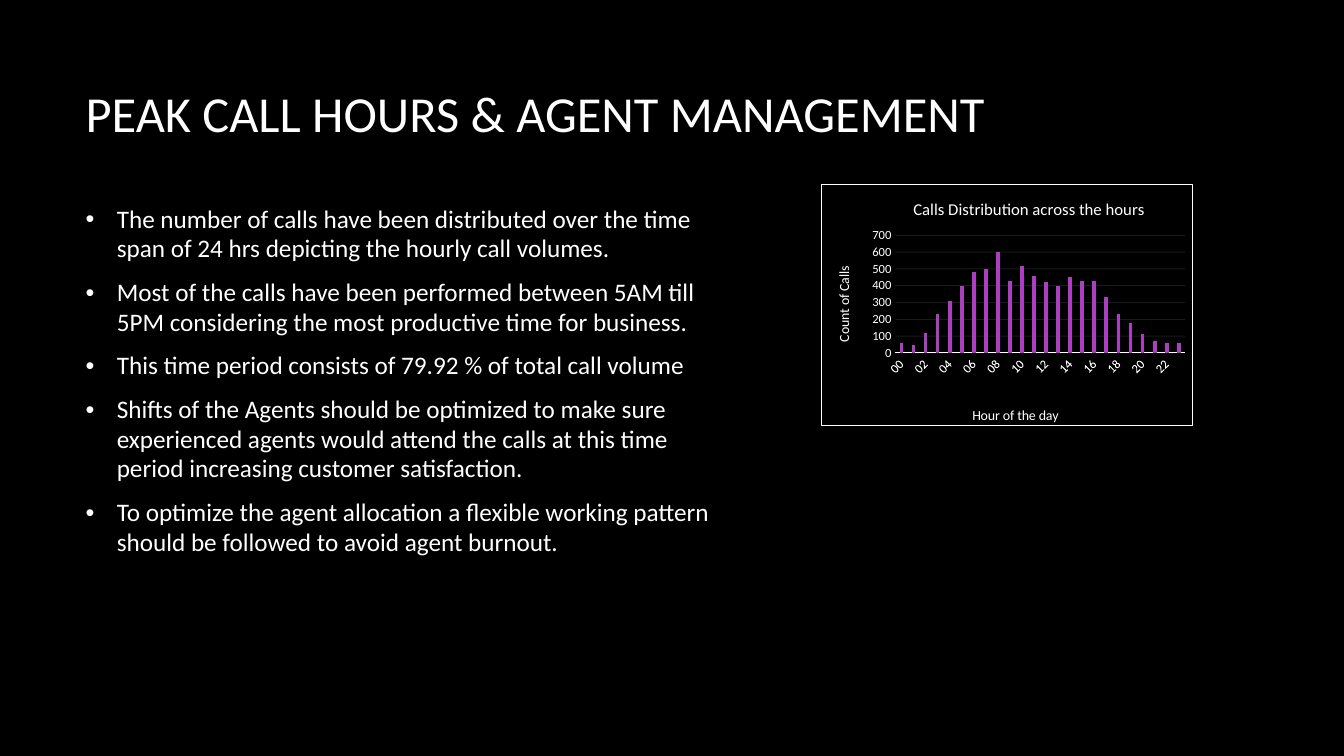
from dataclasses import dataclass

from lxml import etree
from pptx import Presentation
from pptx.chart.data import CategoryChartData
from pptx.dml.color import RGBColor
from pptx.enum.chart import XL_CHART_TYPE, XL_TICK_MARK
from pptx.enum.text import MSO_ANCHOR, MSO_AUTO_SIZE, PP_ALIGN
from pptx.oxml import parse_xml
from pptx.oxml.ns import nsdecls, qn
from pptx.util import Inches, Pt

COLUMN = XL_CHART_TYPE.COLUMN_CLUSTERED
NO_TICK = XL_TICK_MARK.NONE
TOP, MIDDLE = MSO_ANCHOR.TOP, MSO_ANCHOR.MIDDLE
LEFT = PP_ALIGN.LEFT
NO_FIT = MSO_AUTO_SIZE.NONE


@dataclass(frozen=True)
class Theme:
    font: str = "Calibri"
    back: RGBColor = RGBColor(0, 0, 0)
    ink: RGBColor = RGBColor(255, 255, 255)
    bar: RGBColor = RGBColor(0xAC, 0x3E, 0xC1)
    head: int = 36
    body: int = 18
    name: int = 12
    label: int = 10
    tick: int = 9
    line: float = 0.75


THEME = Theme()

POINTS = [
    "The number of calls have been distributed over the time span of 24 hrs "
    "depicting the hourly call volumes.",
    "Most of the calls have been performed between 5AM till 5PM considering "
    "the most productive time for business.",
    "This time period consists of 79.92 % of total call volume",
    "Shifts of the Agents should be optimized to make sure experienced agents "
    "would attend the calls at this time period increasing customer satisfaction.",
    "To optimize the agent allocation a flexible working pattern should be "
    "followed to avoid agent burnout.",
]
CALLS = [60, 50, 120, 230, 310, 400, 480, 500, 600, 430, 520, 460,
         420, 400, 450, 430, 430, 330, 230, 180, 110, 70, 60, 60]


def style(font, size):
    font.name, font.size, font.bold = THEME.font, Pt(size), False
    font.color.rgb = THEME.ink


def write(frame, lines, size, anchor=MIDDLE, after=0, space=None, bullet=None):
    frame.word_wrap = True
    frame.auto_size = NO_FIT
    frame.vertical_anchor = anchor
    for i, line in enumerate(lines):
        para = frame.add_paragraph() if i else frame.paragraphs[0]
        para.alignment = LEFT
        para.space_after = Pt(after)
        if space:
            para.line_spacing = space
        run = para.add_run()
        run.text = line
        style(run.font, size)
        if bullet:
            props = para._p.get_or_add_pPr()
            props.set("marL", str(Inches(0.31)))
            props.set("indent", str(-Inches(0.31)))
            etree.SubElement(props, qn("a:buFont")).set("typeface", "Arial")
            etree.SubElement(props, qn("a:buChar")).set("char", bullet)


def add_head(slide, x, y, w, h):
    head = slide.shapes.title
    head.left, head.top, head.width, head.height = map(Inches, (x, y, w, h))
    write(head.text_frame, ["PEAK CALL HOURS & AGENT MANAGEMENT"], THEME.head)


def add_points(slide, x, y, w, h):
    frame = slide.shapes.add_textbox(*map(Inches, (x, y, w, h))).text_frame
    frame.margin_top = Inches(0.18)
    write(frame, POINTS, THEME.body, anchor=TOP, after=10, space=0.98, bullet="•")


def place(node, inner=False, **spots):
    """Set a manual layout, in fractions of the chart."""
    for old in node.findall(qn("c:layout")):
        node.remove(old)
    layout = etree.Element(qn("c:layout"))
    manual = etree.SubElement(layout, qn("c:manualLayout"))
    if inner:
        etree.SubElement(manual, qn("c:layoutTarget")).set("val", "inner")
    for key in ("xMode", "yMode"):
        etree.SubElement(manual, qn(f"c:{key}")).set("val", "edge")
    for key, spot in spots.items():
        etree.SubElement(manual, qn(f"c:{key}")).set("val", str(spot))
    node.insert(0 if inner else 1, layout)


def add_name(owner, text, size, x, y, turn=0):
    title = owner if hasattr(owner, "text_frame") else owner.axis_title
    frame = title.text_frame
    frame.text = text
    style(frame.paragraphs[0].runs[0].font, size)
    frame._txBody.find(qn("a:bodyPr")).set("rot", str(turn * 60000))
    place(title._element, x=x, y=y)


def set_line(line):
    line.color.rgb = THEME.ink
    line.width = Pt(THEME.line)


def add_calls(slide, x, y, w, h):
    data = CategoryChartData()
    data.categories = [f"{hour:02}" for hour in range(24)]
    data.add_series("Series 1", CALLS)
    chart = slide.shapes.add_chart(COLUMN, *map(Inches, (x, y, w, h)), data).chart
    chart.has_legend = False
    style(chart.font, THEME.label)

    # Columns
    plot = chart.plots[0]
    plot.gap_width, plot.overlap = 219, -27
    plot.vary_by_categories = False
    fill = plot.series[0].format.fill
    fill.solid()
    fill.fore_color.rgb = THEME.bar

    # Axes
    hours, count = chart.category_axis, chart.value_axis
    for axis in (hours, count):
        axis.major_tick_mark = axis.minor_tick_mark = NO_TICK
        style(axis.tick_labels.font, THEME.tick)
    set_line(hours.format.line)
    hours._element.find(qn("c:txPr")).find(qn("a:bodyPr")).set("rot", "-2700000")
    count.minimum_scale, count.maximum_scale, count.major_unit = 0, 700, 100
    count.format.line.fill.background()
    grid = count.major_gridlines.format.line
    set_line(grid)
    tint = grid.fill._xPr.find(".//" + qn("a:srgbClr"))
    etree.SubElement(tint, qn("a:alpha")).set("val", "10000")

    # Titles and plot position
    add_name(chart.chart_title, "Calls Distribution across the hours",
             THEME.name, x=0.24, y=0.04)
    add_name(hours, "Hour of the day", THEME.label, x=0.4, y=0.91)
    add_name(count, "Count of Calls", THEME.label, x=0.03, y=0.33, turn=-90)
    space = chart._chartSpace
    place(space.chart.plotArea, inner=True, x=0.2, y=0.21, w=0.78, h=0.49)

    # Border
    space.chart.addnext(parse_xml(
        f'<c:spPr {nsdecls("c", "a")}><a:noFill/><a:ln w="{Pt(THEME.line)}">'
        f'<a:solidFill><a:srgbClr val="{THEME.ink}"/></a:solidFill></a:ln></c:spPr>'))


def main():
    deck = Presentation()
    deck.slide_width, deck.slide_height = Inches(13.33), Inches(7.5)
    slide = deck.slides.add_slide(deck.slide_layouts[5])
    back = slide.background.fill
    back.solid()
    back.fore_color.rgb = THEME.back
    add_head(slide, 0.75, 0.67, 11.08, 0.89)
    add_points(slide, 0.75, 1.85, 6.59, 4.77)
    add_calls(slide, 8.14, 1.83, 3.69, 2.41)
    deck.save("out.pptx")


if __name__ == "__main__":
    main()
